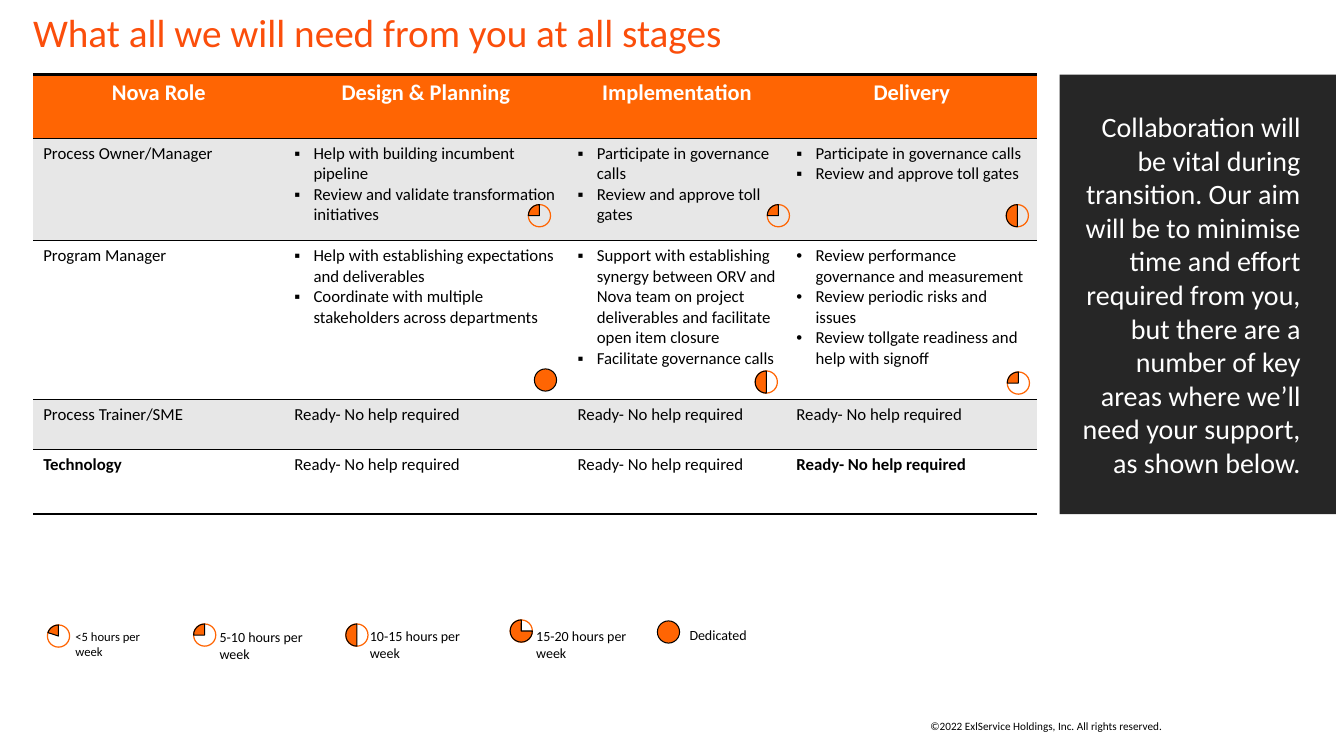
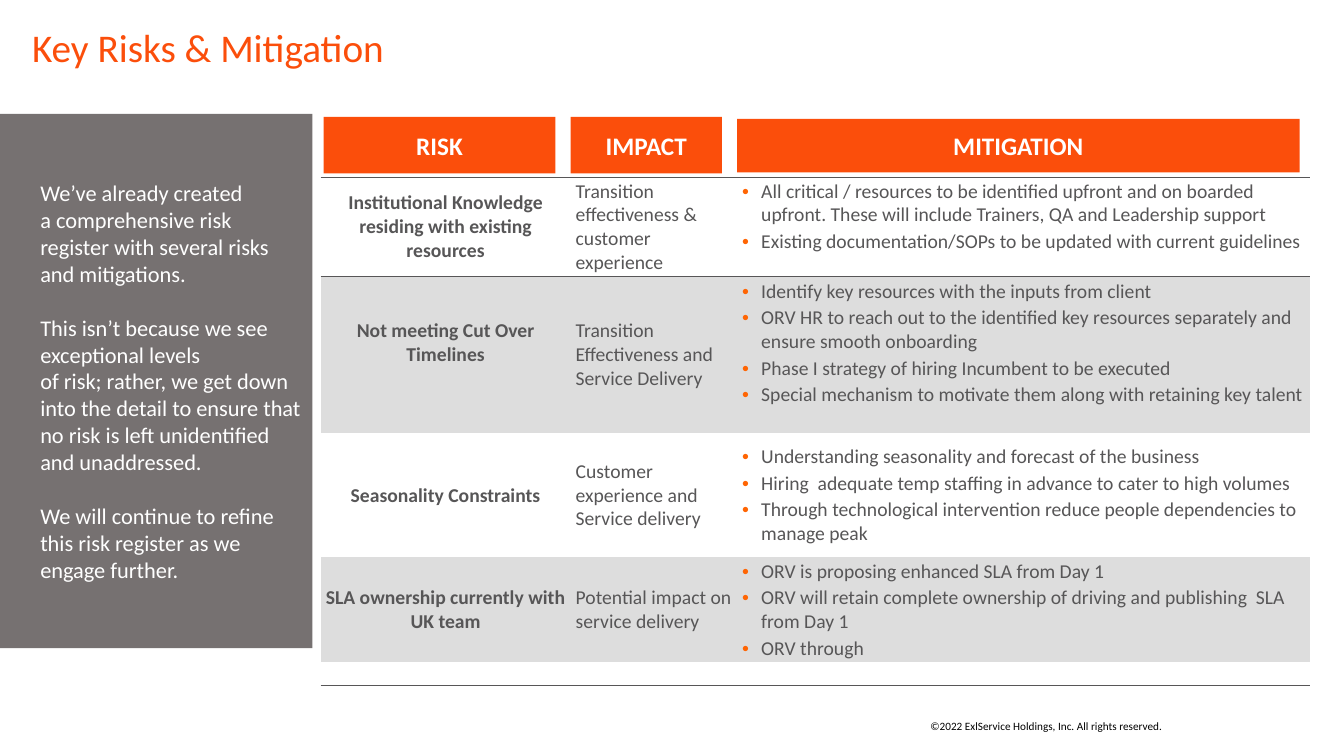
from lxml import etree
from pptx import Presentation
from pptx.dml.color import RGBColor
from pptx.enum.shapes import MSO_SHAPE
from pptx.enum.text import MSO_ANCHOR, PP_ALIGN
from pptx.oxml.ns import qn
from pptx.util import Inches, Pt

FONT = "Calibri"
ORANGE, TITLE_ORANGE = "FF6503", "FB4E0B"
BLACK, WHITE, GREY = "000000", "FFFFFF", "575657"
COPYRIGHT = "©2022 ExlService Holdings, Inc. All rights reserved."
MARKERS = "▪•"
CELL_INSETS = (0.1, 0.05, 0.1, 0.05)

# Support slide: list items that start with a marker become bullets
SUPPORT_TITLE = "What all we will need from you at all stages"
SUPPORT_NOTE = ["Collaboration will be vital during transition. Our aim will be to minimise time "
                "and effort required from you, but there are a number of key areas where we’ll "
                "need your support, as shown below."]
READY = ["Ready- No help required"]
GOVERNANCE = ["▪Participate in governance calls", "▪Review and approve toll gates"]
SUPPORT_ROWS = [
    [["Nova Role"], ["Design & Planning"], ["Implementation"], ["Delivery"]],
    [["Process Owner/Manager"],
     ["▪Help with building incumbent pipeline",
      "▪Review and validate transformation initiatives"],
     GOVERNANCE, GOVERNANCE],
    [["Program Manager"],
     ["▪Help with establishing expectations and deliverables",
      "▪Coordinate with multiple stakeholders across departments"],
     ["▪Support with establishing synergy between ORV and Nova team on project deliverables "
      "and facilitate open item closure",
      "▪Facilitate governance calls"],
     ["•Review performance governance and measurement",
      "•Review periodic risks and issues",
      "•Review tollgate readiness and help with signoff"]],
    [["Process Trainer/SME"], READY, READY, READY],
    [["Technology"], READY, READY, READY],
]
SUPPORT_COLUMNS = (2.49, 2.81, 2.17, 2.49)
SUPPORT_HEIGHTS = (0.63, 1.02, 1.57, 0.5, 0.64)
SUPPORT_RULES = (2, 1, 1, 1, 1, 2)
SUPPORT_FILLS = (ORANGE, "E7E7E7", WHITE, "E7E7E7", WHITE)
BOLD_CELLS = {(4, 0), (4, 3)}

# share of the dial filled, left, top
EFFORT_DIALS = [
    (0.25, 5.24, 2.03), (0.25, 7.61, 2.03), (0.5, 9.98, 2.03),
    (1, 5.3, 3.66), (0.5, 7.49, 3.68), (0.25, 9.99, 3.69),
]
# share, dial left, dial top, label, label left, label top, label width, size
LEGEND = [
    (0.2, 0.47, 6.2, "<5 hours per week", 0.65, 6.19, 1.1, 9),
    (0.25, 1.92, 6.19, "5-10 hours per week", 2.08, 6.19, 1.32, 10),
    (0.5, 3.43, 6.19, "10-15 hours per week", 3.57, 6.18, 1.32, 10),
    (0.75, 5.06, 6.15, "15-20 hours per week", 5.22, 6.18, 1.32, 10),
    (1, 6.52, 6.16, "Dedicated", 6.74, 6.17, 1.32, 10),
]

# Risk slide
RISK_TITLE = "Key Risks & Mitigation"
RISK_NOTE = [
    "We’ve already created\na comprehensive risk register with several risks and mitigations.",
    "This isn’t because we see exceptional levels \nof risk; rather, we get down into the detail "
    "to ensure that no risk is left unidentified and unaddressed.",
    "We will continue to refine this risk register as we engage further.",
]
RISK_HEADERS = [
    ("RISK", (3.21, 1.16, 2.3, 0.56)),
    ("IMPACT", (5.66, 1.16, 1.5, 0.56)),
    ("MITIGATION", (7.31, 1.18, 5.58, 0.53)),
]
RISK_ROWS = [
    [["Institutional Knowledge residing with existing resources"],
     ["Transition effectiveness & customer experience"],
     ["•All critical / resources to be identified upfront and on boarded upfront. "
      "These will include Trainers, QA and Leadership support",
      "•Existing documentation/SOPs to be updated with current guidelines"]],
    [["Not meeting Cut Over Timelines"],
     ["Transition Effectiveness and Service Delivery"],
     ["•Identify key resources with the inputs from client",
      "•ORV HR to reach out to the identified key resources separately and ensure smooth "
      "onboarding",
      "•Phase I strategy of hiring Incumbent to be executed",
      "•Special mechanism to motivate them along with retaining key talent"]],
    [["Seasonality Constraints"],
     ["Customer experience and Service delivery"],
     ["•Understanding seasonality and forecast of the business",
      "•Hiring  adequate temp staffing in advance to cater to high volumes",
      "•Through technological intervention reduce people dependencies to manage peak"]],
    [["SLA ownership currently with UK team"],
     ["Potential impact on service delivery"],
     ["•ORV is proposing enhanced SLA from Day 1",
      "•ORV will retain complete ownership of driving and publishing  SLA from Day 1",
      "•ORV through"]],
    [[], [], []],
]
RISK_COLUMNS = (2.48, 1.65, 5.68)
RISK_HEIGHTS = (0.98, 1.56, 1.23, 1.04, 0.23)
RISK_RULES = (1, 1, 0, 0, 0, 1)
RISK_FILLS = (None, "DDDDDD", None, "DDDDDD", None)


def color(value):
    return RGBColor.from_string(value)


def box(left, top, width, height):
    return Inches(left), Inches(top), Inches(width), Inches(height)


def set_insets(target, insets):
    (target.margin_left, target.margin_top,
     target.margin_right, target.margin_bottom) = map(Inches, insets)


def add_bullet(paragraph, marker, marker_color):
    props = paragraph._p.get_or_add_pPr()
    props.set("marL", str(Inches(0.19)))
    props.set("indent", str(Inches(-0.19)))
    tint = etree.SubElement(props, qn("a:buClr"))
    etree.SubElement(tint, qn("a:srgbClr"), val=marker_color)
    etree.SubElement(props, qn("a:buFont"), typeface="Arial")
    etree.SubElement(props, qn("a:buChar"), char=marker)


def write(frame, lines, size, ink, bold=False, align=PP_ALIGN.LEFT,
          marker_color=BLACK, before=0, after=0):
    """Fill a text frame; space before applies from the second paragraph on."""
    for index, line in enumerate(lines):
        paragraph = frame.paragraphs[0] if index == 0 else frame.add_paragraph()
        bulleted = line[0] in MARKERS
        paragraph.text = line[1:] if bulleted else line
        paragraph.alignment = align
        if bulleted:
            add_bullet(paragraph, line[0], marker_color)
        if index and before:
            paragraph.space_before = Pt(before)
        if after:
            paragraph.space_after = Pt(after)
        for run in paragraph.runs:
            run.font.name, run.font.size, run.font.bold = FONT, Pt(size), bold
            run.font.color.rgb = color(ink)


def add_label(slide, place, text, size, ink=BLACK, align=PP_ALIGN.LEFT, anchor=MSO_ANCHOR.TOP):
    frame = slide.shapes.add_textbox(*box(*place)).text_frame
    frame.word_wrap = True
    frame.vertical_anchor = anchor
    write(frame, [text], size, ink, align=align)


def add_flat_shape(slide, kind, place, fill=None, line=None, width=0):
    shape = slide.shapes.add_shape(kind, *box(*place))
    shape.shadow.inherit = False
    if fill:
        shape.fill.solid()
        shape.fill.fore_color.rgb = color(fill)
    else:
        shape.fill.background()
    if line:
        shape.line.color.rgb = color(line)
        shape.line.width = Pt(width)
    else:
        shape.line.fill.background()
    return shape


def add_panel(slide, place, fill, lines, size, insets=CELL_INSETS, wrap=True, **style):
    frame = add_flat_shape(slide, MSO_SHAPE.RECTANGLE, place, fill).text_frame
    frame.word_wrap = wrap
    frame.vertical_anchor = MSO_ANCHOR.MIDDLE
    set_insets(frame, insets)
    write(frame, lines, size, WHITE, **style)


def add_dial(slide, share, left, top):
    """Draw a ring whose filled part ends at twelve o'clock."""
    place = (left, top, 0.22, 0.22)
    if share == 1:
        add_flat_shape(slide, MSO_SHAPE.OVAL, place, ORANGE, BLACK)
        return
    add_flat_shape(slide, MSO_SHAPE.OVAL, place, line=ORANGE, width=0.88)
    wedge = add_flat_shape(slide, MSO_SHAPE.PIE, place, ORANGE, BLACK)
    # adjustments count 60000 per degree, scaled by 100000
    wedge.adjustments[0] = (270 - 360 * share) * 0.6
    wedge.adjustments[1] = 270 * 0.6


def set_borders(cell, top, bottom, ink):
    props = cell._tc.get_or_add_tcPr()
    for index, (side, points) in enumerate(zip("LRTB", (0, 0, top, bottom))):
        line = etree.Element(qn(f"a:ln{side}"), w=str(Pt(points)))
        if points:
            fill = etree.SubElement(line, qn("a:solidFill"))
            etree.SubElement(fill, qn("a:srgbClr"), val=ink)
        else:
            etree.SubElement(line, qn("a:noFill"))
        props.insert(index, line)


def add_grid(slide, left, top, columns, heights, fills, rules, rule_color):
    """Add an empty ruled table; rules are the widths of its horizontal edges."""
    table = slide.shapes.add_table(len(heights), len(columns),
                                   *box(left, top, sum(columns), sum(heights))).table
    table.first_row = table.horz_banding = False
    for column, width in zip(table.columns, columns):
        column.width = Inches(width)
    for r, (row, height) in enumerate(zip(table.rows, heights)):
        row.height = Inches(height)
        for cell in row.cells:
            if fills[r]:
                cell.fill.solid()
                cell.fill.fore_color.rgb = color(fills[r])
            else:
                cell.fill.background()
            set_borders(cell, rules[r], rules[r + 1], rule_color)
    return table


def add_base_slide(deck, title, title_left, title_top):
    slide = deck.slides.add_slide(deck.slide_layouts[6])
    add_label(slide, (title_left, title_top, 12.67, 0.57), title, 28, TITLE_ORANGE)
    add_label(slide, (5.73, 7.1, 5.9, 0.2), COPYRIGHT, 8,
              align=PP_ALIGN.RIGHT, anchor=MSO_ANCHOR.MIDDLE)
    return slide


def build_support_slide(deck):
    slide = add_base_slide(deck, SUPPORT_TITLE, 0.23, 0.03)
    add_panel(slide, (10.51, 0.74, 2.74, 4.36), "262626", SUPPORT_NOTE, 20,
              (0.2, 0.05, 0.35, 0.05), align=PP_ALIGN.RIGHT)
    table = add_grid(slide, 0.33, 0.74, SUPPORT_COLUMNS, SUPPORT_HEIGHTS,
                     SUPPORT_FILLS, SUPPORT_RULES, BLACK)
    for r, row in enumerate(SUPPORT_ROWS):
        for c, lines in enumerate(row):
            frame = table.cell(r, c).text_frame
            if r == 0:
                write(frame, lines, 16, WHITE, bold=True, align=PP_ALIGN.CENTER)
            else:
                write(frame, lines, 12, BLACK, bold=(r, c) in BOLD_CELLS)
    for share, left, top, label, label_left, label_top, width, size in LEGEND:
        add_dial(slide, share, left, top)
        add_label(slide, (label_left, label_top, width, 0.44), label, size)
    for dial in EFFORT_DIALS:
        add_dial(slide, *dial)


def build_risk_slide(deck):
    slide = add_base_slide(deck, RISK_TITLE, 0.22, 0.18)
    table = add_grid(slide, 3.18, 1.76, RISK_COLUMNS, RISK_HEIGHTS,
                     RISK_FILLS, RISK_RULES, GREY)
    for r, row in enumerate(RISK_ROWS):
        for c, lines in enumerate(row):
            cell = table.cell(r, c)
            raised = r == 1 and c != 1
            set_insets(cell, (0.05, 0.02, 0.05, 0.25 if raised else 0.02))
            top_aligned = (r, c) == (0, 2)
            cell.vertical_anchor = MSO_ANCHOR.TOP if top_aligned else MSO_ANCHOR.MIDDLE
            spacing = 1 if c == 2 else 0
            write(cell.text_frame, lines, 14, GREY, bold=c == 0,
                  align=PP_ALIGN.CENTER if c == 0 else PP_ALIGN.LEFT,
                  marker_color=ORANGE, before=spacing, after=spacing)
            if not lines:
                # keeps the empty closing row low
                etree.SubElement(cell.text_frame.paragraphs[0]._p,
                                 qn("a:endParaRPr"), sz="800")
    add_panel(slide, (0, 1.13, 3.1, 5.3), "767171", RISK_NOTE, 16,
              (0.4, 0.05, 0.1, 0.05), before=19.5)
    for header, place in RISK_HEADERS:
        add_panel(slide, place, TITLE_ORANGE, [header], 18, wrap=False,
                  bold=True, align=PP_ALIGN.CENTER)


def main():
    deck = Presentation()
    deck.slide_width, deck.slide_height = Inches(13.33), Inches(7.5)
    build_support_slide(deck)
    build_risk_slide(deck)
    deck.save("out.pptx")


if __name__ == "__main__":
    main()
